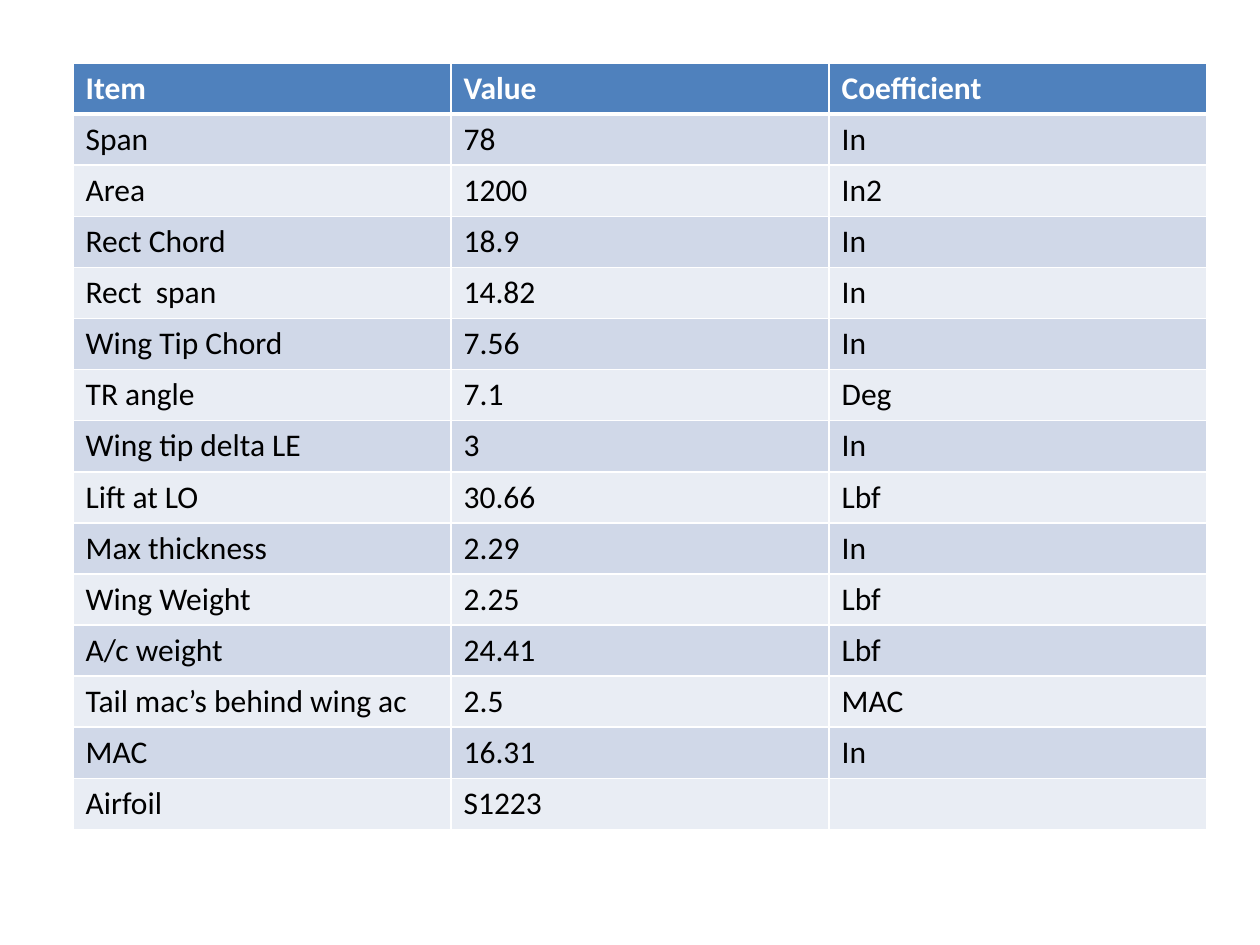
from lxml import etree
from pptx import Presentation
from pptx.dml.color import RGBColor
from pptx.oxml.ns import qn
from pptx.util import Inches, Pt

HEADER = ("Item", "Value", "Coefficient")
ITEMS = [
    ("Span", "78", "In"),
    ("Area", "1200", "In2"),
    ("Rect Chord", "18.9", "In"),
    ("Rect  span", "14.82", "In"),
    ("Wing Tip Chord", "7.56", "In"),
    ("TR angle", "7.1", "Deg"),
    ("Wing tip delta LE", "3", "In"),
    ("Lift at LO", "30.66", "Lbf"),
    ("Max thickness", "2.29", "In"),
    ("Wing Weight", "2.25", "Lbf"),
    ("A/c weight", "24.41", "Lbf"),
    ("Tail mac’s behind wing ac", "2.5", "MAC"),
    ("MAC", "16.31", "In"),
    ("Airfoil", "S1223", ""),
]
ROWS = [HEADER, *ITEMS]

LEFT, TOP, WIDTH, HEIGHT = 0.58, 0.5, 9, 6.08
HEADER_FILL = "4F81BD"
BAND_FILLS = ("D0D8E8", "E9EDF4")
WHITE, BLACK = "FFFFFF", "000000"
THIN, THICK = 1, 3


def color(hex_value):
    return RGBColor.from_string(hex_value)


def add_borders(cell, widths):
    """Draw white cell edges; widths maps each edge letter to points."""
    properties = cell._tc.get_or_add_tcPr()
    for edge, width in widths.items():
        line = etree.SubElement(properties, qn(f"a:ln{edge}"), w=str(Pt(width)))
        fill = etree.SubElement(line, qn("a:solidFill"))
        etree.SubElement(fill, qn("a:srgbClr"), val=WHITE)


def fill_cell(cell, text, row_index):
    is_header = row_index == 0
    add_borders(cell, {
        "L": THIN,
        "R": THIN,
        "T": THICK if row_index == 1 else THIN,
        "B": THICK if is_header else THIN,
    })
    cell.fill.solid()
    cell.fill.fore_color.rgb = color(
        HEADER_FILL if is_header else BAND_FILLS[(row_index - 1) % 2])
    cell.text = text
    font = cell.text_frame.paragraphs[0].font
    for name, value in {"name": "Calibri", "size": Pt(18), "bold": is_header}.items():
        setattr(font, name, value)
    font.color.rgb = color(WHITE if is_header else BLACK)
    for run in cell.text_frame.paragraphs[0].runs:
        run.font.name, run.font.size, run.font.bold = font.name, font.size, is_header
        run.font.color.rgb = font.color.rgb


def main():
    presentation = Presentation()
    presentation.slide_width, presentation.slide_height = Inches(10), Inches(7.5)
    blank_layout = presentation.slide_layouts[6]
    slide = presentation.slides.add_slide(blank_layout)
    table = slide.shapes.add_table(
        len(ROWS), len(HEADER),
        *(Inches(length) for length in (LEFT, TOP, WIDTH, HEIGHT))).table
    for row_index, row in enumerate(ROWS):
        for column_index, text in enumerate(row):
            fill_cell(table.cell(row_index, column_index), text, row_index)
    presentation.save("out.pptx")


if __name__ == "__main__":
    main()
